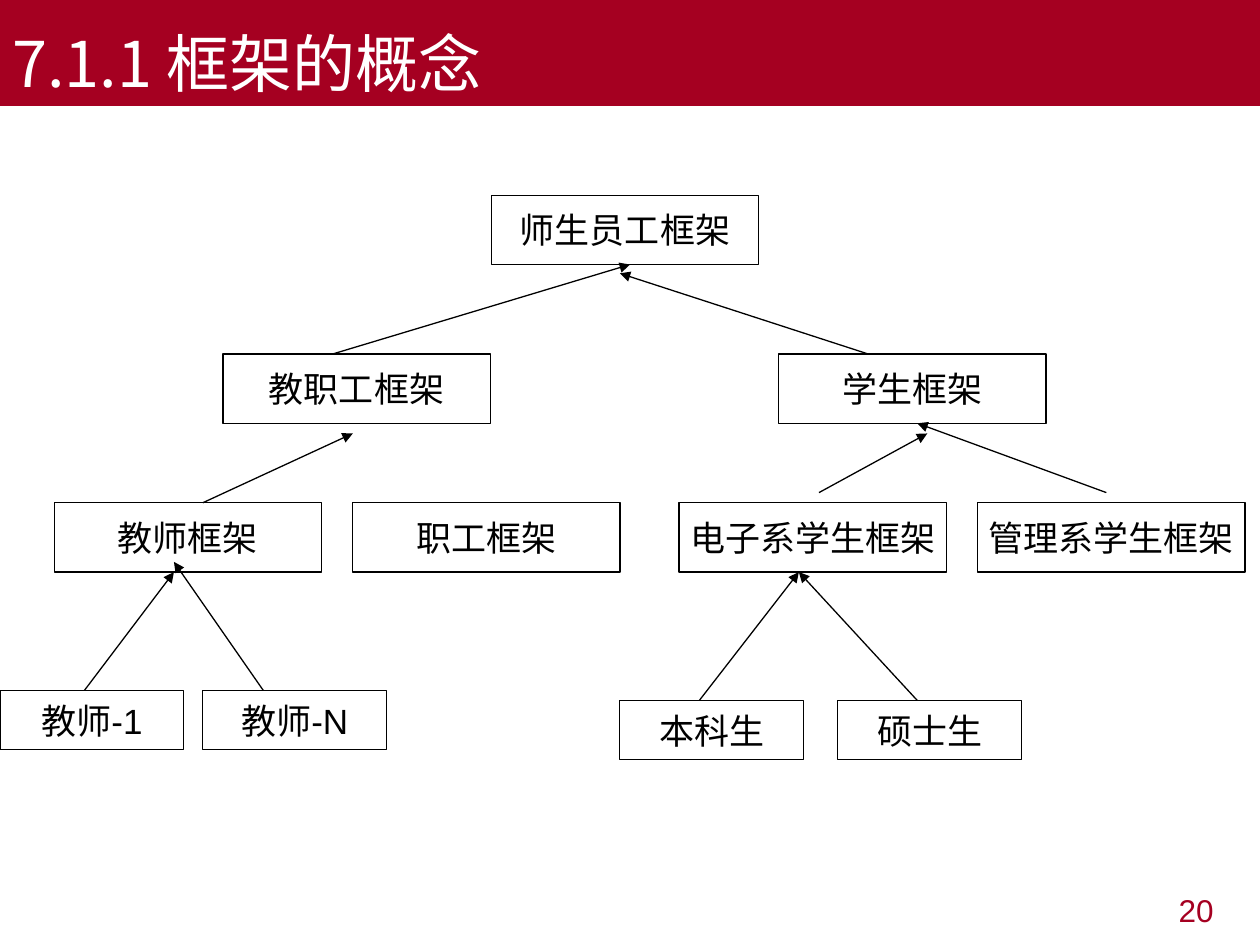
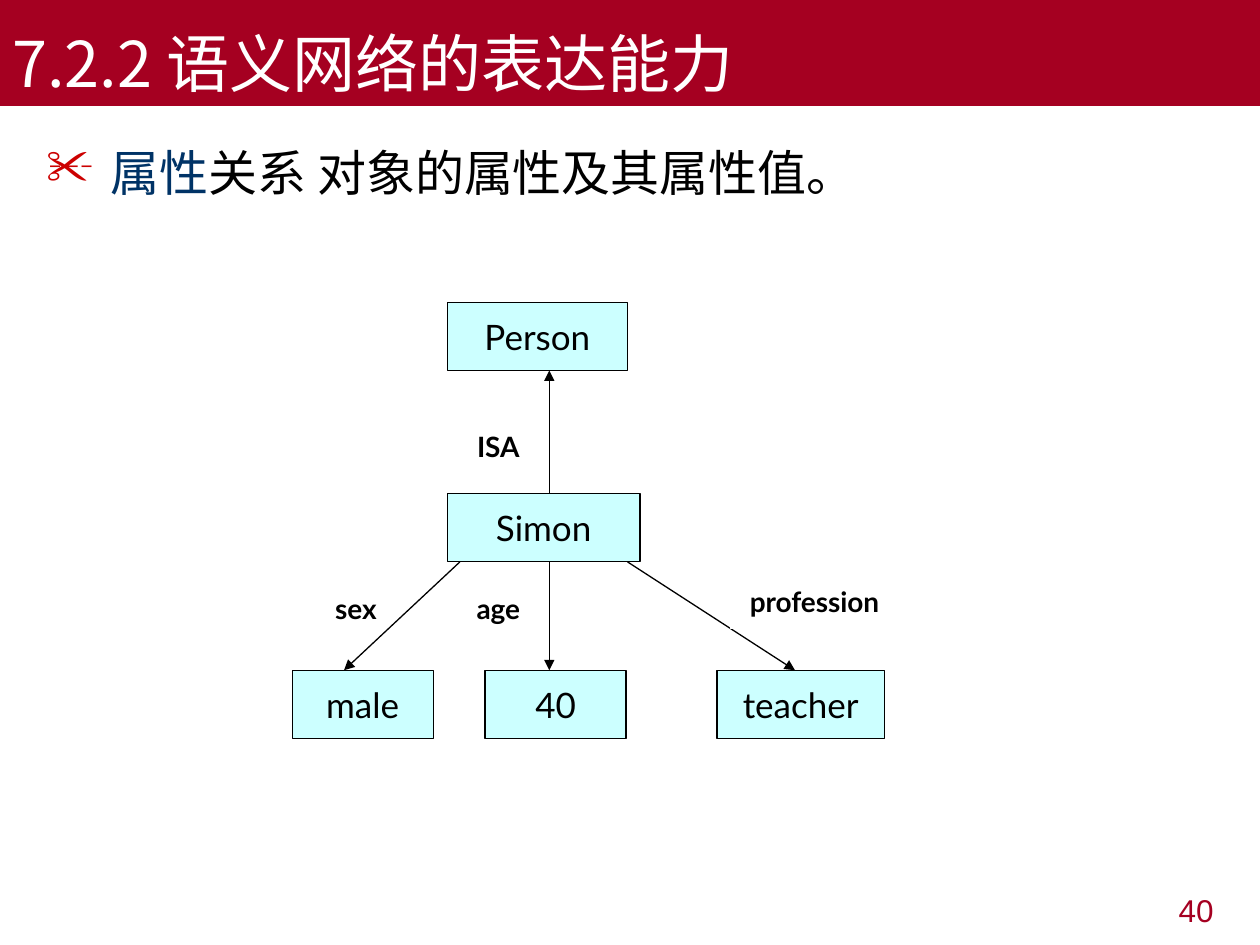
from pptx import Presentation
from pptx.dml.color import RGBColor
from pptx.enum.shapes import MSO_CONNECTOR, MSO_SHAPE
from pptx.enum.text import MSO_ANCHOR, PP_ALIGN
from pptx.oxml.ns import qn
from pptx.util import Pt
from lxml.etree import SubElement

RED = RGBColor(0xA5, 0x00, 0x21)
WHITE = RGBColor(0xFF, 0xFF, 0xFF)
BLACK = RGBColor(0x00, 0x00, 0x00)
AQUA = RGBColor(0xCC, 0xFF, 0xFF)
NAVY = RGBColor(0x00, 0x33, 0x66)
MARK = "CC0000"
CJK, SANS, LATO = "Noto Sans CJK SC", "Arial", "Lato"

# Frame tree: rows of (top, width, height, [(left, text)])
TREE = [
    (111.6, 152.8, 39.6, [(280.8, "师生员工框架")]),
    (202.3, 152.8, 39.6, [(127.4, "教职工框架"), (445, "学生框架")]),
    (287.3, 152.8, 39.6, [(31, "教师框架"), (201.6, "职工框架"),
                          (388.1, "电子系学生框架"), (558.7, "管理系学生框架")]),
    (394.6, 105.1, 33.8, [(0, "教师-1"), (115.9, "教师-N")]),
    (400.3, 105.1, 33.8, [(354.2, "本科生"), (478.8, "硕士生")]),
]
# Arrows: start x, y, end x, y
LINKS = [
    (190.1, 202.3, 360, 151.2), (496.1, 202.3, 354.2, 156.2),
    (115.9, 287.3, 201.6, 247.7), (632.2, 281.5, 524.2, 241.9),
    (468, 281.5, 529.9, 247.7), (48.2, 394.6, 99.4, 326.9),
    (150.5, 394.6, 99.4, 321.1), (399.6, 400.3, 456.5, 326.9),
    (524.2, 400.3, 456.5, 326.9),
]

# Semantic net: (text, left, top, width)
NODE_H = 38.9
NODES = [
    ("Person", 255.6, 172.8, 103), ("Simon", 255.6, 282.2, 110.2),
    ("male", 167, 383, 80.6), ("40", 277.2, 383, 80.6),
    ("teacher", 409.7, 383, 95.8),
]
# Relation names: (text, left, top, width, height)
NAMES = [
    ("sex", 181.4, 336.2, 43.9, 23), ("age", 262.8, 336.2, 43.9, 23),
    ("ISA", 262.8, 243.4, 43.9, 23),
]
JOB = ("profession", 417.6, 328.3, 95.8, 31)
EDGES = [
    (313.9, 282.2, 313.9, 211.7), (313.9, 321.1, 313.9, 383),
    (358.6, 321.1, 454.3, 383), (262.8, 321.1, 196.6, 383),
]
POINT = [("属性", NAVY), ("关系 对象的属性及其属性值。", BLACK)]


def style(run, size, face, color, bold=False):
    font = run.font
    font.size, font.name, font.bold = Pt(size), face, bold
    font.color.rgb = color
    SubElement(run._r.get_or_add_rPr(), qn("a:ea"), typeface=CJK)


def add_box(slide, text, x, y, w, h, fill=None, line=BLACK,
            size=20, face=SANS, color=BLACK, bold=False):
    box = slide.shapes.add_shape(MSO_SHAPE.RECTANGLE, Pt(x), Pt(y), Pt(w), Pt(h))
    box.shadow.inherit = False
    if fill is None:
        box.fill.background()
    else:
        box.fill.solid()
        box.fill.fore_color.rgb = fill
    if line is None:
        box.line.fill.background()
    else:
        box.line.color.rgb = line
        box.line.width = Pt(0.75)
    frame = box.text_frame
    frame.text = text
    frame.word_wrap = False
    frame.vertical_anchor = MSO_ANCHOR.MIDDLE
    para = frame.paragraphs[0]
    para.alignment = PP_ALIGN.CENTER
    style(para.runs[0], size, face, color, bold)
    return box


def add_name(slide, name):
    add_box(slide, *name, fill=WHITE, line=WHITE, size=16, face=LATO, bold=True)


def add_arrow(slide, ends):
    link = slide.shapes.add_connector(MSO_CONNECTOR.STRAIGHT, *map(Pt, ends))
    link.line.color.rgb = BLACK
    link.line.width = Pt(0.75)
    SubElement(link.line._get_or_add_ln(), qn("a:tailEnd"), type="triangle")
    SubElement(link._element.spPr, qn("a:effectLst"))


def add_text(slide, x, y, w, h):
    frame = slide.shapes.add_textbox(Pt(x), Pt(y), Pt(w), Pt(h)).text_frame
    frame.word_wrap = True
    return frame.paragraphs[0]


def add_slide(deck, title, page):
    slide = deck.slides.add_slide(deck.slide_layouts[6])
    # Title band
    band = add_box(slide, title, 0, 0, 720, 60.5, fill=RED, line=None,
                   size=36, face=CJK, color=WHITE).text_frame
    band.word_wrap = True
    band.vertical_anchor = MSO_ANCHOR.BOTTOM
    band.paragraphs[0].alignment = PP_ALIGN.LEFT
    # Page number
    para = add_text(slide, 532.8, 505.4, 167.8, 37.4)
    para.text = page
    para.alignment = PP_ALIGN.RIGHT
    style(para.runs[0], 18, SANS, RED)
    return slide


def add_point(slide):
    para = add_text(slide, 19.4, 71.3, 680.4, 425.5)
    para.line_spacing = 1.2
    props = para._p.get_or_add_pPr()
    props.set("marL", str(Pt(36.7)))
    props.set("indent", str(-Pt(36.7)))
    SubElement(SubElement(props, qn("a:buClr")), qn("a:srgbClr"), val=MARK)
    SubElement(props, qn("a:buChar"), char="✂")
    for text, color in POINT:
        run = para.add_run()
        run.text = text
        style(run, 28, SANS, color)


def main():
    deck = Presentation()
    deck.slide_width, deck.slide_height = Pt(720), Pt(540)

    # Frame tree
    slide = add_slide(deck, "7.1.1 框架的概念", "20")
    for top, width, height, cells in TREE:
        for left, text in cells:
            add_box(slide, text, left, top, width, height)
    for ends in LINKS:
        add_arrow(slide, ends)

    # Semantic net; the last name lies over its arrow
    slide = add_slide(deck, "7.2.2 语义网络的表达能力", "40")
    add_point(slide)
    for node in NODES:
        add_box(slide, *node, NODE_H, fill=AQUA, face=LATO)
    for name in NAMES:
        add_name(slide, name)
    for ends in EDGES:
        add_arrow(slide, ends)
    add_name(slide, JOB)

    deck.save("out.pptx")


if __name__ == "__main__":
    main()
